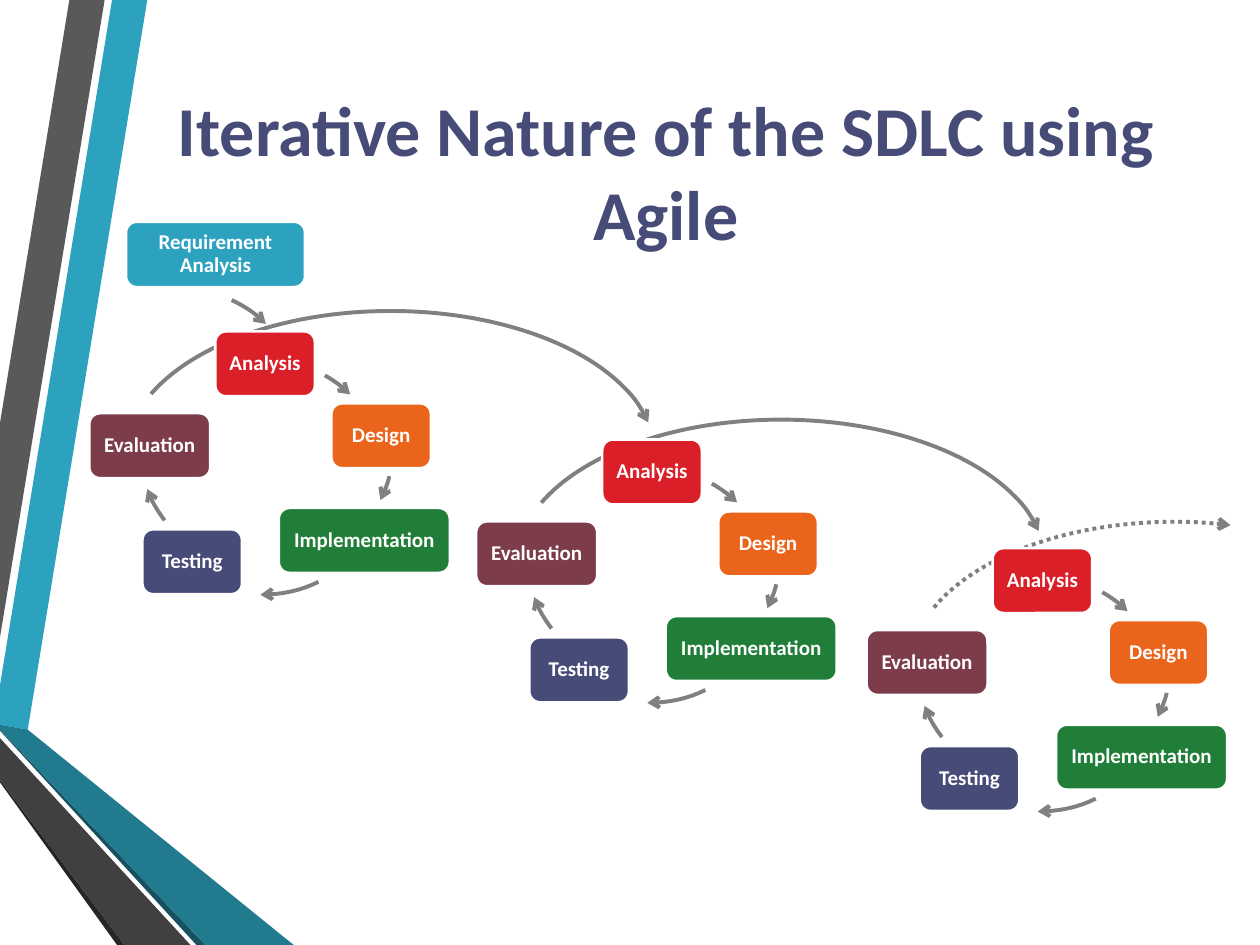
import dataclasses

import pptx
import pptx.dml.color
import pptx.enum.dml
import pptx.enum.shapes
import pptx.enum.text
import pptx.oxml
import pptx.oxml.ns
import pptx.util

Cm = pptx.util.Cm
SHAPES = pptx.enum.shapes.MSO_SHAPE


@dataclasses.dataclass(frozen=True)
class Theme:
    font: str = "Calibri"
    title_size: float = 40
    label_size: float = 12
    arrow_width: float = 2.25
    border_width: float = 1.5
    white: str = "FFFFFF"
    arrow: str = "808080"
    indigo: str = "474B78"
    teal: str = "2DA2BF"
    teal_dark: str = "227A8F"
    teal_edge: str = "175160"
    gray: str = "595959"
    gray_dark: str = "404040"
    gray_edge: str = "262626"
    red: str = "DA1F28"
    orange: str = "EB641B"
    green: str = "207E39"
    plum: str = "7D3C4A"


THEME = Theme()

BANDS = [
    (THEME.teal, [(0, 13.82), (0, 14.61), (0.56, 14.71), (2.97, 0), (2.26, 0)]),
    (THEME.gray, [(2.11, 0), (1.4, 0), (0, 8.53), (0, 12.85)]),
    (THEME.gray_edge, [(0, 15.72), (0, 15.77), (2.36, 19.05), (2.51, 19.05)]),
    (THEME.teal_edge, [(0, 14.71), (0, 14.73), (3.96, 19.05), (4.14, 19.05)]),
    (THEME.teal_dark, [(0, 14.71), (4.14, 19.05), (5.92, 19.05), (0.56, 14.71), (0, 14.61)]),
    (THEME.gray_dark, [(0, 15.72), (2.51, 19.05), (3.84, 19.05), (0, 14.88)]),
]

CYCLE_ORIGINS = [(4.34, 6.68), (12.14, 8.86), (20.01, 11.05)]
STEP_HEIGHT = 1.31
STEPS = [
    ("Analysis", 0, 0, 2.01, THEME.red),
    ("Design", 2.34, 1.45, 2.01, THEME.orange),
    ("Implementation", 1.28, 3.56, 3.45, THEME.green),
    ("Testing", -1.47, 3.99, 2.01, THEME.indigo),
    ("Evaluation", -2.54, 1.65, 2.44, THEME.plum),
]
STEP_ARROWS = [
    [(2.21, 0.89), (2.39, 0.99), (2.57, 1.12), (2.72, 1.27)],
    [(3.51, 2.92), (3.48, 3.07), (3.4, 3.25), (3.33, 3.4)],
    [(2.08, 5.05), (1.73, 5.23), (1.32, 5.31), (0.91, 5.31)],
    [(-1.02, 3.81), (-1.17, 3.61), (-1.3, 3.4), (-1.37, 3.18)],
]
REQUIREMENT_ARROW = [(4.67, 6.05), (4.93, 6.17), (5.16, 6.32), (5.36, 6.53)]
ARC_START = 116.62
ARC_END = 211.62
DOTTED_ARC_END = 174.78


def color(value):
    return pptx.dml.color.RGBColor.from_string(value)


def write_text(box, text, *, size, fill, spacing=1.0, inset=0.13):
    frame = box.text_frame
    frame.word_wrap = True
    frame.vertical_anchor = pptx.enum.text.MSO_ANCHOR.MIDDLE
    frame.margin_left = frame.margin_right = Cm(inset)
    frame.margin_top = frame.margin_bottom = Cm(0.13)
    para = frame.paragraphs[0]
    para.alignment = pptx.enum.text.PP_ALIGN.CENTER
    para.line_spacing = spacing
    span = para.add_run()
    span.text = text
    span.font.name = THEME.font
    span.font.size = pptx.util.Pt(size)
    span.font.bold = True
    span.font.color.rgb = color(fill)


def add_outline(page, points, close):
    corners = [(Cm(x), Cm(y)) for x, y in points]
    builder = page.shapes.build_freeform(*corners[0], scale=1.0)
    builder.add_line_segments(corners[1:], close=close)
    shape = builder.convert_to_shape()
    shape.shadow.inherit = False
    return shape


def add_band(page, fill, points):
    band = add_outline(page, points, True)
    band.fill.solid()
    band.fill.fore_color.rgb = color(fill)
    band.line.fill.background()


def style_arrow(shape, dotted=False):
    shape.shadow.inherit = False
    shape.fill.background()
    shape.line.color.rgb = color(THEME.arrow)
    shape.line.width = pptx.util.Pt(THEME.arrow_width)
    if dotted:
        shape.line.dash_style = pptx.enum.dml.MSO_LINE.ROUND_DOT
    namespace = pptx.oxml.ns.nsdecls("a")
    tail = pptx.oxml.parse_xml(f'<a:tailEnd {namespace} type="arrow"/>')
    shape._element.spPr.find(pptx.oxml.ns.qn("a:ln")).append(tail)


def add_arc(page, left, top, height, end, dotted=False):
    arc = page.shapes.add_shape(SHAPES.ARC, Cm(left), Cm(top), Cm(10.67), Cm(height))
    arc.adjustments[0] = ARC_START
    arc.adjustments[1] = end
    style_arrow(arc, dotted)


def curve_point(controls, t):
    weights = [(1 - t) ** 3, 3 * t * (1 - t) ** 2, 3 * t * t * (1 - t), t ** 3]
    return tuple(sum(w * c for w, c in zip(weights, axis)) for axis in zip(*controls))


def add_curved_arrow(page, controls, origin=(0, 0)):
    points = [curve_point(controls, index / 8) for index in range(9)]
    moved = [(origin[0] + x, origin[1] + y) for x, y in points]
    style_arrow(add_outline(page, moved, False))


def add_step(page, text, left, top, width, height, fill):
    box = page.shapes.add_shape(
        SHAPES.ROUNDED_RECTANGLE, Cm(left), Cm(top), Cm(width), Cm(height))
    box.shadow.inherit = False
    box.fill.solid()
    box.fill.fore_color.rgb = color(fill)
    box.line.color.rgb = color(THEME.white)
    box.line.width = pptx.util.Pt(THEME.border_width)
    write_text(box, text, size=THEME.label_size, fill=THEME.white, spacing=0.9)


def add_cycle(page, origin):
    for text, left, top, width, fill in STEPS:
        add_step(page, text, origin[0] + left, origin[1] + top, width, STEP_HEIGHT, fill)
    for controls in STEP_ARROWS:
        add_curved_arrow(page, controls, origin)


def add_title(page, text):
    box = page.shapes.add_textbox(Cm(2.72), Cm(1.27), Cm(21.41), Cm(4.34))
    write_text(box, text, size=THEME.title_size, fill=THEME.indigo, inset=0.25)


def main():
    deck = pptx.Presentation()
    deck.slide_width = Cm(25.4)
    deck.slide_height = Cm(19.05)
    page = deck.slides.add_slide(deck.slide_layouts[6])
    for fill, points in BANDS:
        add_band(page, fill, points)
    add_arc(page, 10.41, 8.46, 5.82, ARC_END)
    add_arc(page, 18.34, 10.52, 5.94, DOTTED_ARC_END, dotted=True)
    add_arc(page, 2.54, 6.27, 5.82, ARC_END)
    add_title(page, "Iterative Nature of the SDLC using Agile")
    add_step(page, "Requirement Analysis", 2.54, 4.47, 3.61, 1.32, THEME.teal)
    add_curved_arrow(page, REQUIREMENT_ARROW)
    for origin in CYCLE_ORIGINS:
        add_cycle(page, origin)
    deck.save("out.pptx")


main()
